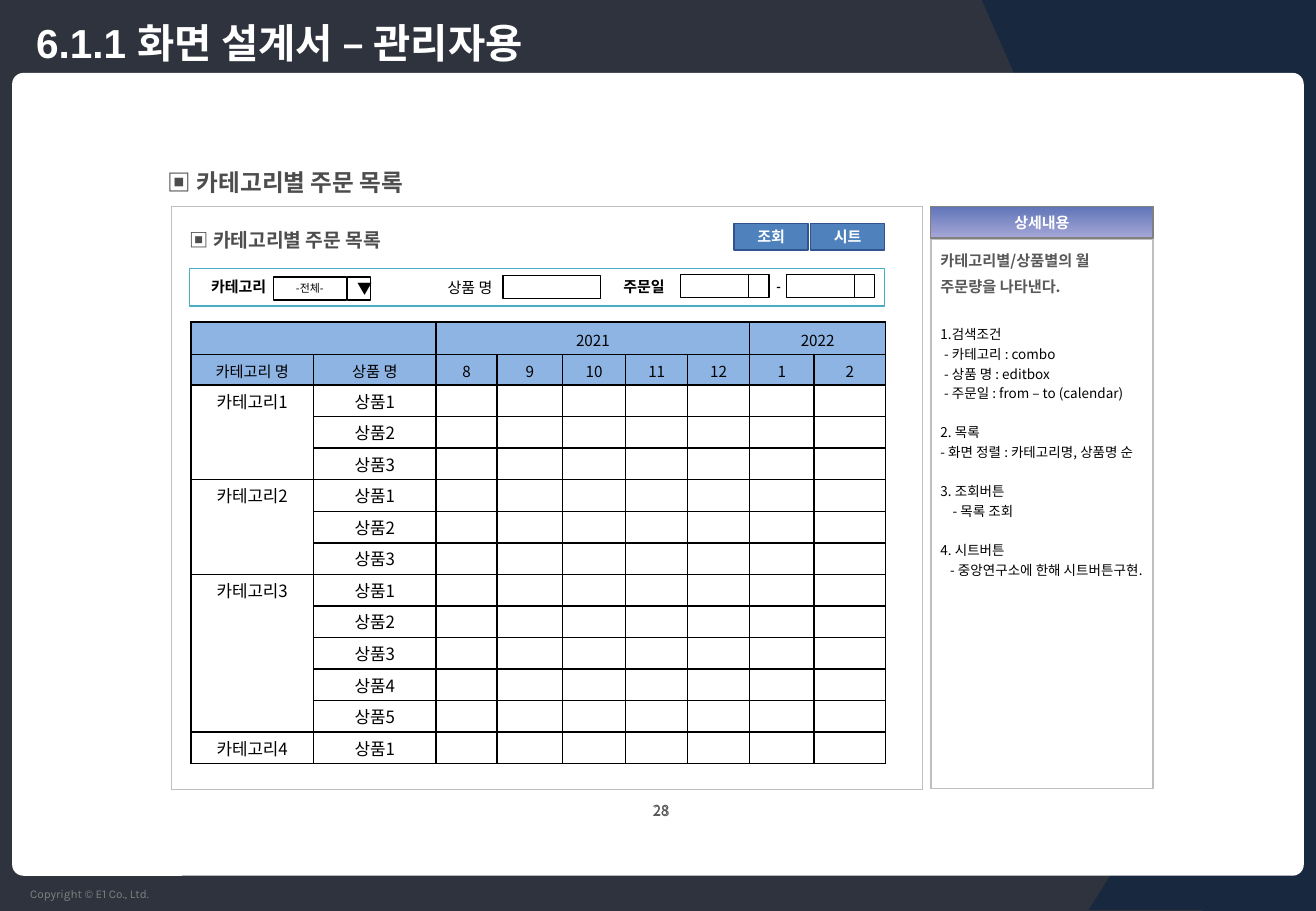
from dataclasses import dataclass
from typing import Any, Optional

from lxml import etree
from pptx import Presentation
from pptx import util as u
from pptx.dml.color import RGBColor
from pptx.enum import shapes, text
from pptx.oxml.ns import qn

PX = 9144
SANS = "Noto Sans CJK KR"
WHITE = RGBColor(0xFF, 0xFF, 0xFF)
BLACK = RGBColor(0, 0, 0)
SLATE = RGBColor(0x2E, 0x33, 0x3D)
NAVY = RGBColor(0x18, 0x28, 0x3F)
GRAY = RGBColor(0x80, 0x80, 0x80)
SILVER = RGBColor(0xBF, 0xBF, 0xBF)
INK = RGBColor(0x59, 0x59, 0x59)
HEADING = RGBColor(0x4D, 0x4D, 0x4D)
TEAL = RGBColor(0x4B, 0xAC, 0xC6)
BUTTON = RGBColor(0x4F, 0x81, 0xBD)
BUTTON_EDGE = RGBColor(0x31, 0x53, 0x8F)
HEADER = RGBColor(0x8E, 0xB4, 0xE3)
VIOLET_TOP = RGBColor(0x60, 0x75, 0xB8)
VIOLET_BOTTOM = RGBColor(0xA5, 0xA7, 0xD7)

RECT = shapes.MSO_SHAPE.RECTANGLE
TRIANGLE = shapes.MSO_SHAPE.RIGHT_TRIANGLE
ROUNDED = shapes.MSO_SHAPE.ROUNDED_RECTANGLE
LEFT, CENTER, RIGHT = text.PP_ALIGN.LEFT, text.PP_ALIGN.CENTER, text.PP_ALIGN.RIGHT
TOP, MIDDLE = text.MSO_ANCHOR.TOP, text.MSO_ANCHOR.MIDDLE


@dataclass(frozen=True)
class Style:
    size: float
    color: RGBColor = BLACK
    bold: bool = False
    align: Any = CENTER
    font: str = SANS
    spacing: Any = None


@dataclass(frozen=True)
class Box:
    left: int
    top: int
    width: int
    height: int
    words: str = ""
    style: Style = Style(9)
    fill: Optional[RGBColor] = WHITE
    line: Optional[RGBColor] = None
    weight: float = 0.75
    geometry: Any = RECT
    margins: tuple[int, int] = (8, 4)
    anchor: Any = MIDDLE
    wrap: bool = True
    rotation: int = 0
    flip: bool = False


@dataclass(frozen=True)
class Note:
    words: str
    before: float = 0
    indent: int = 0
    style: Style = Style(8, align=LEFT)


LABEL = Style(8.9, bold=True, align=RIGHT)
CAPTION = Style(8.9, WHITE, True)
TITLE = Style(24, WHITE, True, LEFT, "Arial")
SECTION = Style(14, HEADING, True, LEFT, "Arial", u.Pt(14.6))
SUBSECTION = Style(11.4, HEADING, True, LEFT, "Arial", u.Pt(14.6))
SUMMARY = Style(9, INK, True, LEFT, spacing=1.2)

BACKDROP = [
    Box(-1, 0, 1085, 750, fill=SLATE),
    Box(808, 0, 275, 625, fill=NAVY, geometry=TRIANGLE, rotation=180),
    Box(15, 725, 128, 22, "Copyright © E1 Co., Ltd.", Style(7, GRAY, align=LEFT, font="Karla"),
        None, margins=(10, 5), anchor=TOP, wrap=False),
    Box(989, 0, 96, 750, fill=NAVY),
    Box(896, 454, 186, 295, fill=NAVY, geometry=TRIANGLE, flip=True),
    Box(10, 60, 1063, 661, geometry=ROUNDED),
    Box(20, 3, 956, 63, "6.1.1 화면 설계서 – 관리자용", TITLE, None, margins=(10, 5)),
    *(Box(490, 656, 108, 23, "28", Style(size, INK), None) for size in (9, 7.3)),
]
SEARCH_BAR = [
    Box(130, 137, 458, 29, "▣ 카테고리별 주문 목록", SECTION, None, anchor=TOP),
    Box(156, 221, 572, 31, line=TEAL, weight=1),
    Box(164, 226, 66, 19, "카테고리 ", LABEL),
    Box(477, 226, 78, 19, "주문일", LABEL),
]
BUTTONS = [
    Box(left, 184, 61, 22, words, CAPTION, BUTTON, BUTTON_EDGE, 1)
    for left, words in ((604, "조회"), (667, "시트"))
]
SUBHEADING = Box(148, 183, 228, 29, "▣ 카테고리별 주문 목록", SUBSECTION, None, anchor=TOP)
DATE_BOXES = [Box(left, 226, 73, 19, line=BLACK) for left in (647, 560)]
DATE_DASH = Box(629, 225, 27, 22, "-", Style(7.3, bold=True, align=LEFT), None,
                margins=(10, 5), anchor=TOP, wrap=False)
COMBO = [
    Box(225, 228, 60, 19, "-전체-", Style(6.5), line=BLACK),
    Box(286, 228, 19, 19, "▼", Style(8.9), line=BLACK),
]
PRODUCT_FIELD = [
    Box(339, 227, 77, 19, "상품 명 ", Style(8.9, align=RIGHT)),
    Box(414, 227, 80, 19, line=BLACK),
]
NOTES = [
    Note("카테고리별/상품별의 월 주문량을 나타낸다.", style=SUMMARY),
    Note("1.검색조건", 16),
    Note("- 카테고리 : combo", indent=3),
    Note("- 상품 명 : editbox", indent=3),
    Note("- 주문일 : from – to (calendar)", indent=3),
    Note("2. 목록", 11.6),
    Note("- 화면 정렬 : 카테고리명, 상품명 순"),
    Note("3. 조회버튼", 11.6),
    Note("- 목록 조회", indent=10),
    Note("4. 시트버튼", 11.6),
    Note("- 중앙연구소에 한해 시트버튼구현.", indent=8),
]
YEARS = {"2021": ["8", "9", "10", "11", "12"], "2022": ["1", "2"]}
CATEGORIES = {"카테고리1": 3, "카테고리2": 3, "카테고리3": 5, "카테고리4": 1}


def format_paragraph(paragraph: Any, style: Style) -> None:
    paragraph.alignment = style.align
    if style.spacing:
        paragraph.line_spacing = style.spacing
    for span in paragraph.runs:
        span.font.size = u.Pt(style.size)
        span.font.bold = style.bold
        span.font.color.rgb = style.color
        span.font.name = style.font
        etree.SubElement(span.font._element, qn("a:ea"), typeface=SANS)


def draw_box(canvas: Any, box: Box) -> Any:
    place = [value * PX for value in (box.left, box.top, box.width, box.height)]
    if box.fill is None:
        shape = canvas.add_textbox(*place)
    else:
        shape = canvas.add_shape(box.geometry, *place)
        shape.shadow.inherit = False
        shape.fill.solid()
        shape.fill.fore_color.rgb = box.fill
        shape.rotation = box.rotation
        if box.line is None:
            shape.line.fill.background()
        else:
            shape.line.color.rgb = box.line
            shape.line.width = u.Pt(box.weight)
    if box.geometry == ROUNDED:
        shape.adjustments[0] = 0.014
    if box.flip:
        shape._element.spPr.xfrm.set("flipH", "1")
    if box.words:
        frame = shape.text_frame
        frame.margin_left = frame.margin_right = box.margins[0] * PX
        frame.margin_top = frame.margin_bottom = box.margins[1] * PX
        frame.word_wrap = box.wrap
        frame.vertical_anchor = box.anchor
        frame.text = box.words
        format_paragraph(frame.paragraphs[0], box.style)
    return shape


def draw_boxes(canvas: Any, boxes: list[Box]) -> None:
    for box in boxes:
        draw_box(canvas, box)


def draw_divider(canvas: Any, left: int, top: int, height: int) -> None:
    line = canvas.add_connector(shapes.MSO_CONNECTOR.STRAIGHT, left * PX, top * PX,
                                left * PX, (top + height) * PX)
    line.line.color.rgb = BLACK
    line.line.width = u.Pt(0.75)
    etree.SubElement(line._element.spPr, qn("a:effectLst"))


def draw_table(canvas: Any, left: int, top: int, widths: list[int], heights: list[int],
               border: RGBColor) -> Any:
    table = canvas.add_table(len(heights), len(widths), left * PX, top * PX,
                             sum(widths) * PX, sum(heights) * PX).table
    table.first_row = table.horz_banding = False
    for column, width in zip(table.columns, widths):
        column.width = width * PX
    for row, height in zip(table.rows, heights):
        row.height = height * PX
    for cell in table.iter_cells():
        cell.margin_left = cell.margin_right = 7 * PX
        cell.margin_top, cell.margin_bottom = 3 * PX, PX
        properties = cell._tc.get_or_add_tcPr()
        for side in "LRTB":
            edge = etree.SubElement(properties, qn(f"a:ln{side}"), w="12700")
            paint = etree.SubElement(edge, qn("a:solidFill"))
            etree.SubElement(paint, qn("a:srgbClr"), val=str(border))
        cell.fill.background()
        etree.SubElement(cell.text_frame.paragraphs[0]._p, qn("a:endParaRPr"), sz="800")
    return table


def fill_cell(cell: Any, words: str, style: Style) -> None:
    cell.text_frame.text = words
    format_paragraph(cell.text_frame.paragraphs[0], style)


def draw_orders(canvas: Any) -> None:
    table = draw_table(canvas, 157, 265, [101, 101, 50, 54, 52, 51, 51, 53, 59],
                       [27, 25] + [26] * sum(CATEGORIES.values()), BLACK)
    for column in range(9):
        for row in range(2):
            cell = table.cell(row, column)
            cell.fill.solid()
            cell.fill.fore_color.rgb = HEADER
            cell.vertical_anchor = MIDDLE
    table.cell(0, 0).merge(table.cell(0, 1))
    start = 2
    for year, months in YEARS.items():
        table.cell(0, start).merge(table.cell(0, start + len(months) - 1))
        fill_cell(table.cell(0, start), year, Style(9))
        start += len(months)
    for column, words in enumerate(["카테고리 명", "상품 명", *sum(YEARS.values(), [])]):
        fill_cell(table.cell(1, column), words, Style(9))
    start = 2
    for category, count in CATEGORIES.items():
        if count > 1:
            table.cell(start, 0).merge(table.cell(start + count - 1, 0))
        fill_cell(table.cell(start, 0), category, Style(10))
        for index in range(count):
            fill_cell(table.cell(start + index, 1), f"상품{index + 1}", Style(10))
        start += count


def draw_details(canvas: Any) -> None:
    cell = draw_table(canvas, 766, 170, [183], [27, 452], SILVER).cell(1, 0)
    cell.margin_left = cell.margin_right = 8 * PX
    cell.margin_top = cell.margin_bottom = 4 * PX
    cell.text_frame.text = "\n".join(note.words for note in NOTES)
    for paragraph, note in zip(cell.text_frame.paragraphs, NOTES):
        format_paragraph(paragraph, note.style)
        paragraph._p.get_or_add_pPr().set("indent", str(note.indent * PX))
        if note.before:
            paragraph.space_before = u.Pt(note.before)
    banner = draw_box(canvas, Box(766, 170, 183, 26, "상세내용", CAPTION, line=GRAY, wrap=False))
    banner.fill.gradient()
    banner.fill.gradient_angle = 270
    for stop, color in zip(banner.fill.gradient_stops, (VIOLET_TOP, VIOLET_BOTTOM)):
        stop.color.rgb = color


def main() -> None:
    deck = Presentation()
    deck.slide_width, deck.slide_height = 1083 * PX, 750 * PX
    page = deck.slides.add_slide(deck.slide_layouts[6])
    canvas = page.shapes
    draw_boxes(canvas, BACKDROP)
    draw_table(canvas, 141, 170, [618], [480], SILVER)
    draw_details(canvas)
    draw_boxes(canvas, SEARCH_BAR)
    draw_orders(canvas)
    draw_boxes(canvas, [*BUTTONS, SUBHEADING])
    period = canvas.add_group_shape().shapes
    for box in DATE_BOXES:
        draw_box(period, box)
        draw_divider(period, box.left + 56, box.top, box.height)
    draw_box(period, DATE_DASH)
    draw_boxes(canvas.add_group_shape().shapes, COMBO)
    draw_boxes(canvas, PRODUCT_FIELD)
    deck.save("out.pptx")


if __name__ == "__main__":
    main()
